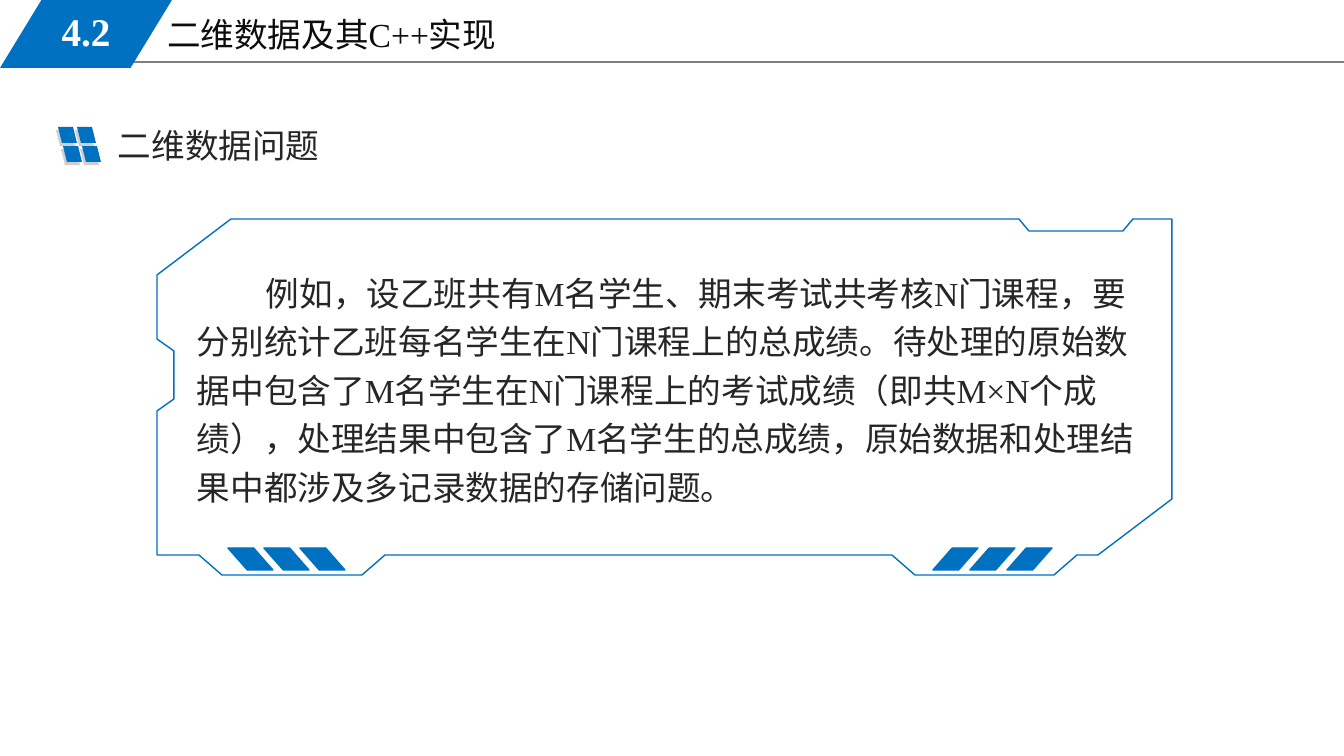
"""Build the slide on two-dimensional data and its C++ implementation."""
from pptx import Presentation
from pptx.dml.color import RGBColor
from pptx.enum.shapes import MSO_CONNECTOR as Conn, MSO_SHAPE as Kind
from pptx.enum.text import MSO_ANCHOR as Anchor, MSO_AUTO_SIZE as Auto, PP_ALIGN as Align
from pptx.oxml.ns import qn
from pptx.util import Pt
from lxml.etree import SubElement

WIDE, HIGH = 1344, 756
SCALE = 12192000 / WIDE
BLUE, GREY, DARK = "0070C0", "D0CECE", "262626"
LATIN, HAN = "Times New Roman", "Noto Sans CJK SC"
FRAME = [
    (915, 575), (1054, 575), (1077, 555), (1098, 555), (1172, 499), (1172, 219),
    (1133, 219), (1123, 231), (1029, 231), (1019, 219), (231, 219), (157, 275),
    (157, 339), (174, 351), (174, 399), (157, 411), (157, 555), (199, 555),
    (222, 575), (362, 575), (385, 555), (892, 555),
]
BODY = (
    "例如，设乙班共有M名学生、期末考试共考核N门课程，要分别统计乙班每名学生在N门课程上的总成绩。"
    "待处理的原始数据中包含了M名学生在N门课程上的考试成绩（即共M×N个成绩），"
    "处理结果中包含了M名学生的总成绩，原始数据和处理结果中都涉及多记录数据的存储问题。"
)


def px(num):
    """Turn pixels into EMU."""
    return round(num * SCALE)


def color(code):
    """Turn a hex string into a colour."""
    return RGBColor.from_string(code)


def paint(shape, fill=None, line=None):
    """Set fill and line, and drop the shadow."""
    shape.shadow.inherit = False
    if fill:
        shape.fill.solid()
        shape.fill.fore_color.rgb = color(fill)
    else:
        shape.fill.background()
    if line:
        shape.line.color.rgb = color(line)
        shape.line.width = Pt(1)
    else:
        shape.line.fill.background()


def write(box, text, size=24, ink=DARK, font=LATIN, bold=False,
          align=Align.LEFT, anchor=Anchor.TOP, indent=0, space=1.0):
    """Put one formatted paragraph into a box."""
    frame = box.text_frame
    frame.word_wrap = True
    frame.auto_size = Auto.NONE
    frame.vertical_anchor = anchor
    para = frame.paragraphs[0]
    para.alignment = align
    para.line_spacing = space
    if indent:
        para._p.get_or_add_pPr().set("indent", str(px(indent)))
    run = para.add_run()
    run.text = text
    run.font.size = Pt(size)
    run.font.bold = bold
    run.font.color.rgb = color(ink)
    run.font.name = font
    SubElement(run.font._element, qn("a:ea"), typeface=HAN)


def label(shapes, place, text, **form):
    """Add a text box with formatted text."""
    write(shapes.add_textbox(*map(px, place)), text, **form)


def slant(shapes, place, fill, line=None, skew=0.25, flip=False):
    """Add a parallelogram."""
    shape = shapes.add_shape(Kind.PARALLELOGRAM, *map(px, place))
    shape.adjustments[0] = skew
    paint(shape, fill, line)
    if flip:
        shape._element.spPr.find(qn("a:xfrm")).set("flipH", "1")


def rule(shapes, left, right, top):
    """Add the thin grey header line."""
    line = shapes.add_connector(Conn.STRAIGHT, px(left), px(top), px(right), px(top))
    line.line.color.rgb = color("808080")
    line.line.width = Pt(0.75)
    SubElement(line._element.spPr, qn("a:effectLst"))


def header(slide):
    """Place the title, the line and the section tag."""
    shapes = slide.shapes
    title = shapes.title
    title.left, title.top, title.width, title.height = map(px, (157, 9, 572, 51))
    write(title, "二维数据及其C++实现", ink="0D0D0D")
    rule(shapes, 114, WIDE, 62)
    slant(shapes, (0, 0, 172, 68), BLUE, skew=0.61)
    label(shapes, (25, 2, 122, 58), "4.2", size=28, ink="FFFFFF", bold=True,
          align=Align.CENTER, anchor=Anchor.MIDDLE)


def topic(slide):
    """Place the four-tile mark and its heading."""
    shapes = slide.shapes.add_group_shape().shapes
    for left, top, fill in ((56, 130, GREY), (58, 127, BLUE)):
        for row in range(2):
            for col in range(2):
                place = (left + 19 * col + 5 * row, top + 19 * row, 19, 16)
                slant(shapes, place, fill, flip=True)
    label(shapes, (108, 120, 393, 50), "二维数据问题", font=HAN)


def panel(slide):
    """Place the outlined frame and its slanted bars."""
    shapes = slide.shapes.add_group_shape().shapes
    first, *rest = [(px(left), px(top)) for left, top in FRAME]
    pen = shapes.build_freeform(*first, scale=1.0)
    pen.add_line_segments(rest, close=True)
    paint(pen.convert_to_shape(), line=BLUE)
    for left, step, flip in ((933, 37, False), (228, 36, True)):
        for num in range(3):
            place = (left + step * num, 548, 45, 22)
            slant(shapes, place, BLUE, line=BLUE, skew=0.88, flip=flip)


def main():
    """Build and save the slide."""
    deck = Presentation()
    deck.slide_width, deck.slide_height = px(WIDE), px(HIGH)
    slide = deck.slides.add_slide(deck.slide_layouts[5])
    header(slide)
    label(slide.shapes, (187, 260, 975, 254), BODY, indent=69, space=1.2)
    topic(slide)
    panel(slide)
    deck.save("out.pptx")


if __name__ == "__main__":
    main()
